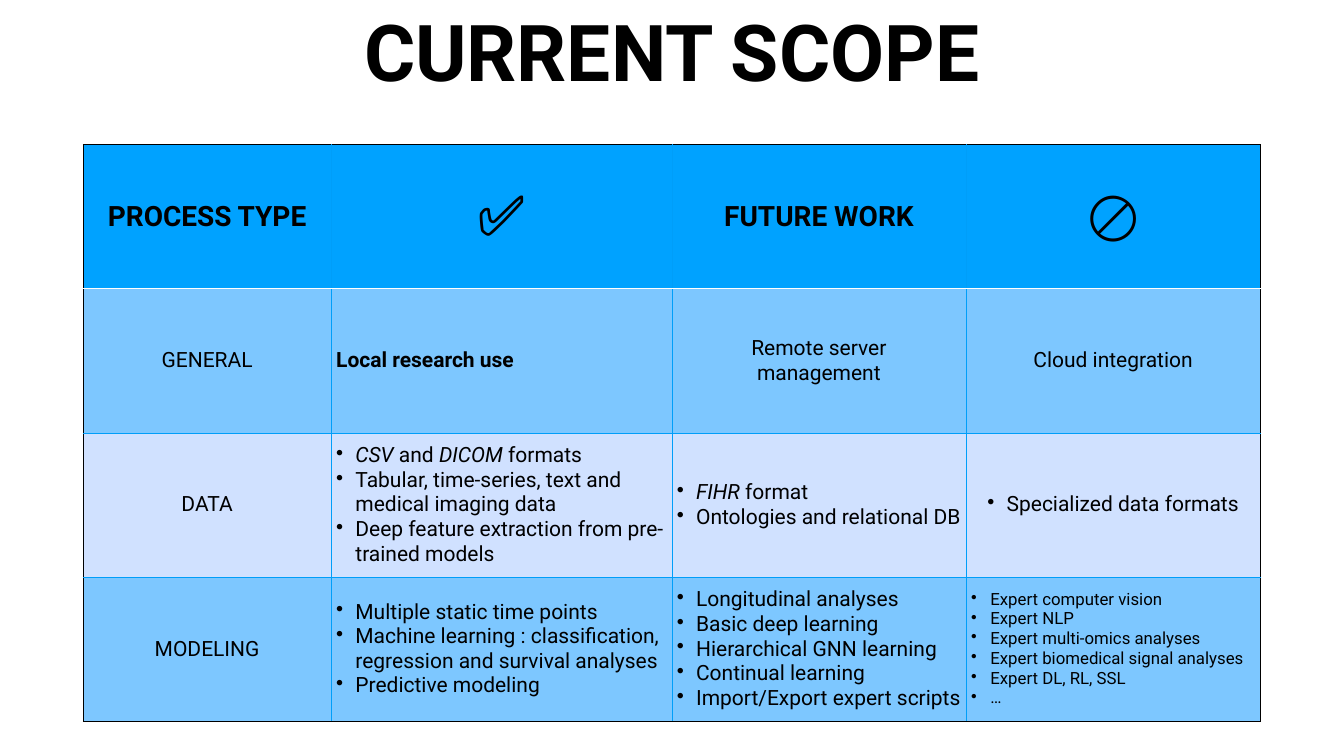
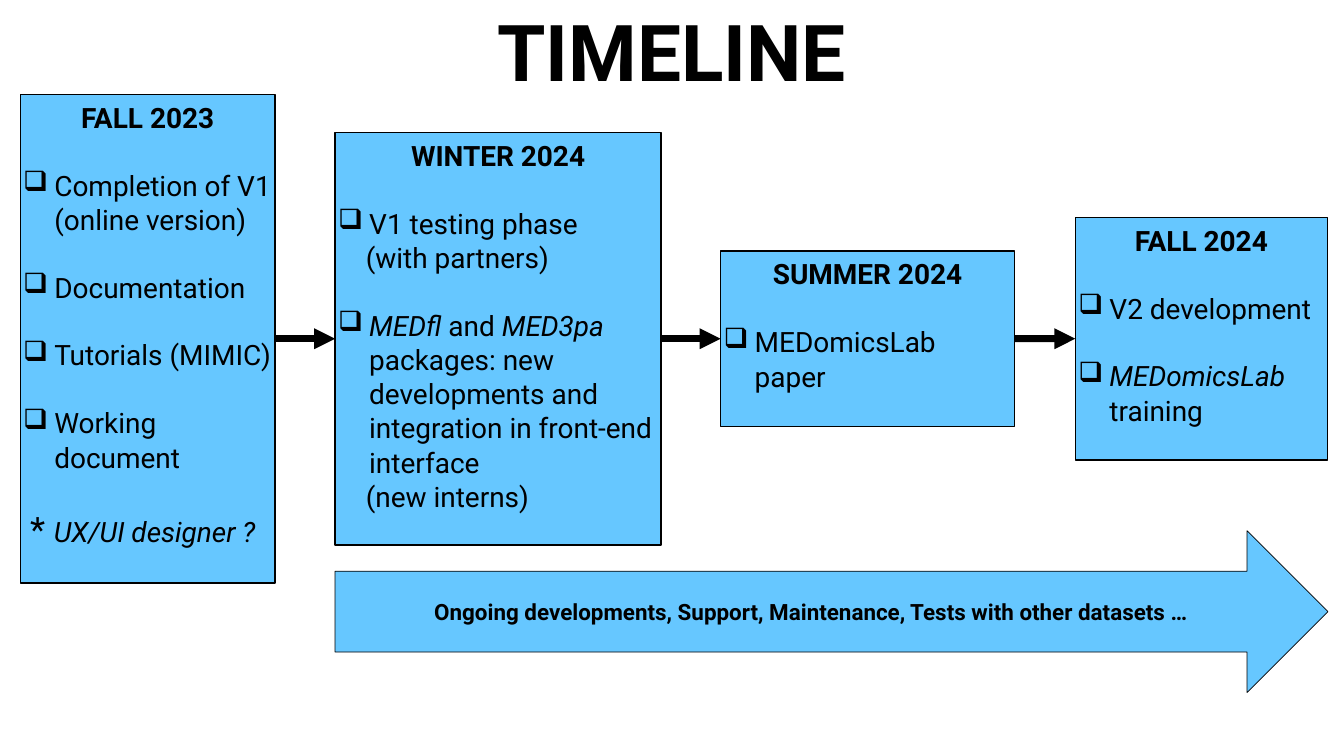
from lxml.etree import SubElement
from pptx import Presentation
from pptx.dml.color import RGBColor
from pptx.enum.shapes import MSO_CONNECTOR, MSO_SHAPE
from pptx.enum.text import MSO_ANCHOR, MSO_AUTO_SIZE, PP_ALIGN
from pptx.oxml import parse_xml
from pptx.oxml.ns import nsdecls, qn
from pptx.util import Cm, Pt

FONT = "Roboto"
COLORS = {
    "text": "000000",
    "edge": "000000",
    "header": "00A2FF",
    "band": "7DC7FF",
    "plain": "D0E1FF",
    "grid": "009EF9",
    "header_rule": "FFFFFF",
    "step": "66C7FF",
}
INSET = Cm(0.15)

# Scope table
TABLE_LEFT, TABLE_TOP = 4.19, 7.29
COLUMN_WIDTHS = [12.5, 17.17, 14.83, 14.83]
ROW_HEIGHT = 7.26
ROW_FILLS = ["header", "band", "plain", "band"]
TABLE_INDENT = 0.97
# Cells are lists of paragraphs; "• " opens a bullet and underscores enclose italics.
SCOPE_ROWS = [
    [["PROCESS TYPE"], ["✅"], ["FUTURE WORK"], ["🚫"]],
    [["GENERAL"], ["Local research use"], ["Remote server", "management"],
     ["Cloud integration"]],
    [["DATA"],
     ["• _CSV_ and _DICOM_ formats",
      "• Tabular, time-series, text and medical imaging data",
      "• Deep feature extraction from pre-trained models"],
     ["• _FIHR_ format", "• Ontologies and relational DB"],
     ["• Specialized data formats"]],
    [["MODELING"],
     ["• Multiple static time points",
      "• Machine learning : classification, regression and survival analyses",
      "• Predictive modeling"],
     ["• Longitudinal analyses", "• Basic deep learning",
      "• Hierarchical GNN learning", "• Continual learning",
      "• Import/Export expert scripts"],
     ["• Expert computer vision", "• Expert NLP", "• Expert multi-omics analyses",
      "• Expert biomedical signal analyses", "• Expert DL, RL, SSL", "• …"]],
]

# Timeline
STEP_MIDDLE = 17.07
STEP_INDENT = 1.57
NOTE_INDENT = 1.4
STEP_GAP = 48
# left, width, height, heading, items; an item without "❑ " continues the one above
STEPS = [
    (1.02, 12.85, 24.64, "FALL 2023",
     ["❑ Completion of V1 (online version)", "❑ Documentation",
      "❑ Tutorials (MIMIC)", "❑ Working document"]),
    (16.89, 16.43, 20.8, "WINTER 2024",
     ["❑ V1 testing phase", "(with partners)",
      "❑ _MEDfl_ and _MED3pa_ packages: new developments and integration in "
      "front-end interface", "(new interns)"]),
    (36.32, 14.81, 8.84, "SUMMER 2024", ["❑ MEDomicsLab paper"]),
    (54.2, 12.7, 12.24, "FALL 2024",
     ["❑ V2 development", "❑ _MEDomicsLab_ training"]),
]


def color(name):
    return RGBColor.from_string(COLORS[name])


def next_paragraph(frame):
    """Return the empty first paragraph of a frame, or a new one."""
    first = frame.paragraphs[0]
    return frame.add_paragraph() if first.runs else first


def set_indent(para, left, hanging=0, bullet=None):
    properties = para._p.get_or_add_pPr()
    properties.set("marL", str(Cm(left)))
    properties.set("indent", str(-Cm(hanging)))
    if bullet:
        SubElement(properties, qn("a:buChar")).set("char", bullet)


def write(frame, text, size, bold=False, align=PP_ALIGN.LEFT, indent=0):
    """Add a paragraph; a leading bullet sign hangs by indent, underscores mean italics."""
    para = next_paragraph(frame)
    if text[:2] in ("• ", "❑ "):
        set_indent(para, indent, indent, text[0])
        text = text[2:]
    elif indent:
        set_indent(para, indent)
    para.alignment = align
    para.font.name = FONT
    para.font.size = Pt(size)
    para.font.bold = bold
    para.font.color.rgb = color("text")
    for index, part in enumerate(text.split("_")):
        if part:
            span = para.add_run()
            span.text = part
            if index % 2:
                span.font.italic = True
    return para


def add_page(deck, title, left, width):
    page = deck.slides.add_slide(deck.slide_layouts[5])
    holder = page.shapes.title
    holder.left, holder.top, holder.width, holder.height = (
        Cm(left), Cm(0), Cm(width), Cm(5.08))
    frame = holder.text_frame
    frame.auto_size = MSO_AUTO_SIZE.NONE
    frame.word_wrap = False
    frame.vertical_anchor = MSO_ANCHOR.MIDDLE
    frame.margin_left = frame.margin_right = INSET
    frame.margin_top = frame.margin_bottom = INSET
    write(frame, title, 112, True, PP_ALIGN.CENTER)
    return page


def set_borders(cell, row, column, last_row, last_column):
    """Black outer edges, a white rule under the header, blue grid lines elsewhere."""
    grid, edge, rule = ("grid", 0.75), ("edge", 1), ("header_rule", 2)
    sides = {
        "lnL": edge if column == 0 else grid,
        "lnR": edge if column == last_column else grid,
        "lnT": edge if row == 0 else rule if row == 1 else grid,
        "lnB": edge if row == last_row else rule if row == 0 else grid,
    }
    properties = cell._tc.get_or_add_tcPr()
    for position, (side, (name, width)) in enumerate(sides.items()):
        properties.insert(position, parse_xml(
            f'<a:{side} {nsdecls("a")} w="{Pt(width)}"><a:solidFill>'
            f'<a:srgbClr val="{COLORS[name]}"/></a:solidFill></a:{side}>'))


def scope_text_style(row, column, lines):
    """Return size, bold and alignment for one cell of the scope table."""
    if row == 0:
        return (80, False, PP_ALIGN.CENTER) if column % 2 else (40, True, PP_ALIGN.CENTER)
    bulleted = lines[0].startswith("•")
    local_use = (row, column) == (1, 1)
    left = local_use or (bulleted and len(lines) > 1)
    size = 24 if (row, column) == (3, 3) else 30
    return size, local_use, PP_ALIGN.LEFT if left else PP_ALIGN.CENTER


def add_scope_table(page):
    last_row, last_column = len(SCOPE_ROWS) - 1, len(COLUMN_WIDTHS) - 1
    table = page.shapes.add_table(
        last_row + 1, last_column + 1, Cm(TABLE_LEFT), Cm(TABLE_TOP),
        Cm(sum(COLUMN_WIDTHS)), Cm(ROW_HEIGHT * len(SCOPE_ROWS))).table
    table.first_row = table.horz_banding = False
    for column, width in zip(table.columns, COLUMN_WIDTHS):
        column.width = Cm(width)
    for row, cells in enumerate(SCOPE_ROWS):
        table.rows[row].height = Cm(ROW_HEIGHT)
        for column, lines in enumerate(cells):
            cell = table.cell(row, column)
            cell.fill.solid()
            cell.fill.fore_color.rgb = color(ROW_FILLS[row])
            cell.vertical_anchor = MSO_ANCHOR.MIDDLE
            set_borders(cell, row, column, last_row, last_column)
            size, bold, align = scope_text_style(row, column, lines)
            for line in lines:
                indent = TABLE_INDENT if line.startswith("•") else 0
                write(cell.text_frame, line, size, bold, align, indent)


def add_block(page, kind, left, top, width, height, line_width):
    block = page.shapes.add_shape(kind, Cm(left), Cm(top), Cm(width), Cm(height))
    block.shadow.inherit = False
    block.fill.solid()
    block.fill.fore_color.rgb = color("step")
    block.line.color.rgb = color("edge")
    block.line.width = Pt(line_width)
    block.text_frame.word_wrap = True
    return block


def add_step(page, left, width, height, heading, items):
    box = add_block(page, MSO_SHAPE.RECTANGLE, left, STEP_MIDDLE - height / 2,
                    width, height, 2)
    frame = box.text_frame
    frame.vertical_anchor = MSO_ANCHOR.TOP
    frame.margin_left = frame.margin_right = INSET
    frame.margin_top = Cm(0.3)
    write(frame, heading, 40, True, PP_ALIGN.CENTER)
    for item in items:
        checked = item.startswith("❑")
        para = write(frame, item, 40, indent=STEP_INDENT if checked else NOTE_INDENT)
        para.line_spacing = 1.02
        if checked:
            para.space_before = Pt(STEP_GAP)
    return box


def add_open_question(box):
    para = write(box.text_frame, "* _UX/UI designer ?_", 40, indent=0.35)
    para.space_before = Pt(STEP_GAP)
    para.runs[0].font.size = Pt(50)


def join_steps(page, start, end):
    arrow = page.shapes.add_connector(MSO_CONNECTOR.STRAIGHT, 0, 0, 0, 0)
    arrow.begin_connect(start, 3)
    arrow.end_connect(end, 1)
    arrow.line.color.rgb = color("edge")
    arrow.line.width = Pt(10)
    SubElement(arrow.line._get_or_add_ln(), qn("a:tailEnd")).set("type", "triangle")
    SubElement(arrow._element.spPr, qn("a:effectLst"))


def add_ongoing_arrow(page):
    arrow = add_block(page, MSO_SHAPE.RIGHT_ARROW, 16.89, 26.75, 50.04, 8.15, 1)
    frame = arrow.text_frame
    frame.vertical_anchor = MSO_ANCHOR.MIDDLE
    frame.margin_left = frame.margin_right = frame.margin_top = frame.margin_bottom = 0
    write(frame, "Ongoing developments, Support, Maintenance, Tests with other datasets …",
          32, True, PP_ALIGN.CENTER)


def main():
    deck = Presentation()
    deck.slide_width, deck.slide_height = Cm(67.74), Cm(38.1)

    add_scope_table(add_page(deck, "CURRENT SCOPE", 16.38, 34.95))

    timeline = add_page(deck, "TIMELINE", 24.26, 19.18)
    boxes = [add_step(timeline, *step) for step in STEPS]
    add_open_question(boxes[0])
    for start, end in zip(boxes, boxes[1:]):
        join_steps(timeline, start, end)
    add_ongoing_arrow(timeline)

    deck.save("out.pptx")


if __name__ == "__main__":
    main()
